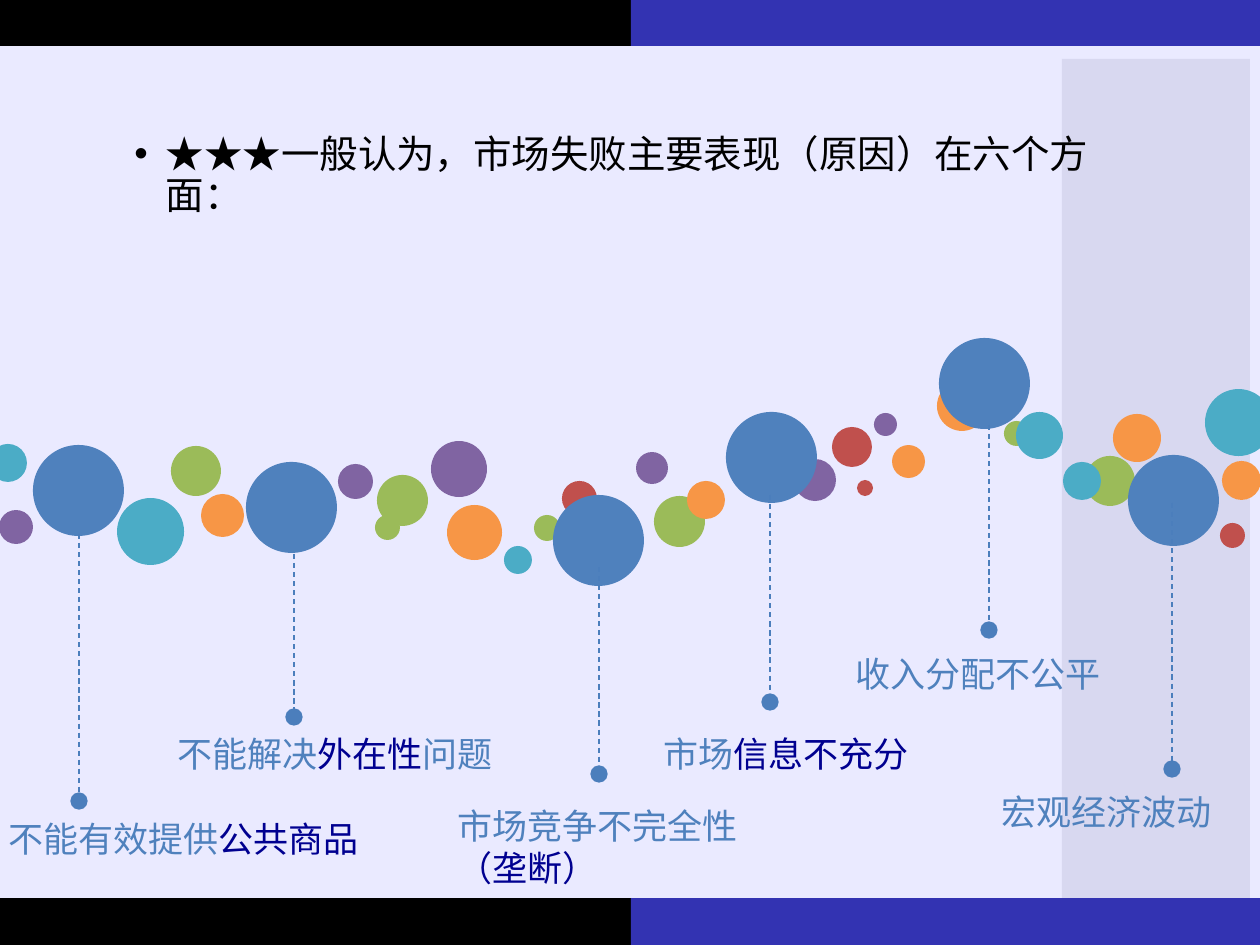
"""Build a slide showing six causes of market failure as hanging bubbles."""
from lxml.etree import SubElement
from pptx import Presentation
from pptx.dml.color import RGBColor
from pptx.enum.dml import MSO_LINE
from pptx.enum.shapes import MSO_CONNECTOR, MSO_SHAPE
from pptx.enum.text import MSO_ANCHOR, MSO_AUTO_SIZE, PP_ALIGN
from pptx.oxml.ns import qn
from pptx.util import Emu, Pt

PX = 914400 / 126
BLUE, NAVY, LINE_BLUE = "4F81BD", "000090", "4B7EBC"


def add_filled(kind, box, color):
    shape = slide.shapes.add_shape(kind, *(Emu(round(v * PX)) for v in box))
    shape.shadow.inherit = False
    shape.fill.solid()
    shape.fill.fore_color.rgb = RGBColor.from_string(color)
    shape.line.fill.background()


def add_text(box, paragraphs, font_name, size, wrap):
    textbox = slide.shapes.add_textbox(*(Emu(round(v * PX)) for v in box))
    frame = textbox.text_frame
    frame_format = {
        "word_wrap": wrap,
        "vertical_anchor": MSO_ANCHOR.TOP,
        "auto_size": MSO_AUTO_SIZE.NONE if wrap else MSO_AUTO_SIZE.SHAPE_TO_FIT_TEXT,
    }
    for name, value in frame_format.items():
        setattr(frame, name, value)
    for index, runs in enumerate(paragraphs):
        paragraph = frame.add_paragraph() if index else frame.paragraphs[0]
        paragraph.alignment = PP_ALIGN.LEFT
        for text, color in runs:
            run = paragraph.add_run()
            run.text = text
            for name, value in {"name": font_name, "size": Pt(size)}.items():
                setattr(run.font, name, value)
            run.font.color.rgb = RGBColor.from_string(color)
            SubElement(run.font._element, qn("a:ea"), typeface=font_name)
    return frame


presentation = Presentation()
presentation.slide_width = Emu(round(1260 * PX))
presentation.slide_height = Emu(round(945 * PX))
slide = presentation.slides.add_slide(presentation.slide_layouts[6])

add_filled(MSO_SHAPE.RECTANGLE, (0, 46, 1260, 852), "EAEAFF")
add_filled(MSO_SHAPE.RECTANGLE, (1062, 59, 188, 849), "D8D8F0")
for bar_top in (0, 898):
    height = 47 if bar_top else 46
    add_filled(MSO_SHAPE.RECTANGLE, (0, bar_top, 631, height), "000000")
    add_filled(MSO_SHAPE.RECTANGLE, (631, bar_top, 629, height), "3333B2")

heading = "★★★一般认为，市场失败主要表现（原因）在六个方面："
frame = add_text((122, 129, 1012, 687), [[(heading, "000000")]],
                 "Noto Sans CJK SC", 22, True)
paragraph = frame.paragraphs[0]
for name, value in {"line_spacing": 0.9, "space_before": Pt(10)}.items():
    setattr(paragraph, name, value)
properties = paragraph._p.get_or_add_pPr()
properties.set("marL", "228600")
properties.set("indent", "-228600")
SubElement(properties, qn("a:buFont"), typeface="Arial")
SubElement(properties, qn("a:buChar"), char="•")

bubbles = {
    "C0504D": [(857, 480, 16), (562, 481, 35), (832, 427, 40), (1220, 523, 25)],
    "8064A2": [(794, 459, 42), (-1, 510, 34), (431, 441, 56), (636, 452, 32),
               (874, 413, 23), (338, 464, 35)],
    "9BBB59": [(375, 515, 25), (1004, 421, 25), (171, 446, 50), (1085, 456, 50),
               (377, 475, 51), (654, 496, 51), (534, 515, 26)],
    "4BACC6": [(1205, 389, 67), (504, 546, 28), (-11, 444, 38), (1016, 412, 47),
               (1063, 462, 38), (117, 498, 67)],
    "F79646": [(1222, 461, 39), (201, 494, 43), (892, 445, 33), (1113, 414, 48),
               (447, 505, 55), (937, 381, 50), (687, 481, 38)],
    BLUE: [(33, 445, 91), (246, 462, 91), (553, 495, 91), (726, 412, 91),
           (939, 338, 91), (1128, 455, 91)],
}
for color, circles in bubbles.items():
    for left, top, diameter in circles:
        add_filled(MSO_SHAPE.OVAL, (left, top, diameter, diameter), color)

causes = [
    ((79, 534, 801), (-4, 811, 379, 97), [[("不能有效提供", BLUE), ("公共商品", NAVY)]]),
    ((294, 554, 717), (165, 726, 344, 55),
     [[("不能解决", BLUE), ("外在性", NAVY), ("问题", BLUE)]]),
    ((599, 567, 774), (445, 798, 309, 97),
     [[("市场竞争不完全性", BLUE)], [("（垄断）", NAVY)]]),
    ((770, 495, 702), (651, 726, 273, 55), [[("市场", BLUE), ("信息不充分", NAVY)]]),
    ((989, 425, 630), (843, 646, 273, 55), [[("收入分配不公平", BLUE)]]),
    ((1172, 503, 769), (989, 784, 237, 55), [[("宏观经济波动", BLUE)]]),
]
for (x, start, end), label_box, label in causes:
    ends = (Emu(round(v * PX)) for v in (x, start, x, end))
    connector = slide.shapes.add_connector(MSO_CONNECTOR.STRAIGHT, *ends)
    for name, value in {"width": Pt(0.75), "dash_style": MSO_LINE.DASH}.items():
        setattr(connector.line, name, value)
    connector.line.color.rgb = RGBColor.from_string(LINE_BLUE)
    SubElement(connector.line._get_or_add_ln(), qn("a:tailEnd"), type="oval", w="lg", len="lg")
    SubElement(connector._element.spPr, qn("a:effectLst"))
    add_text(label_box, label, "Quicksand", 20, False)

presentation.save("out.pptx")
